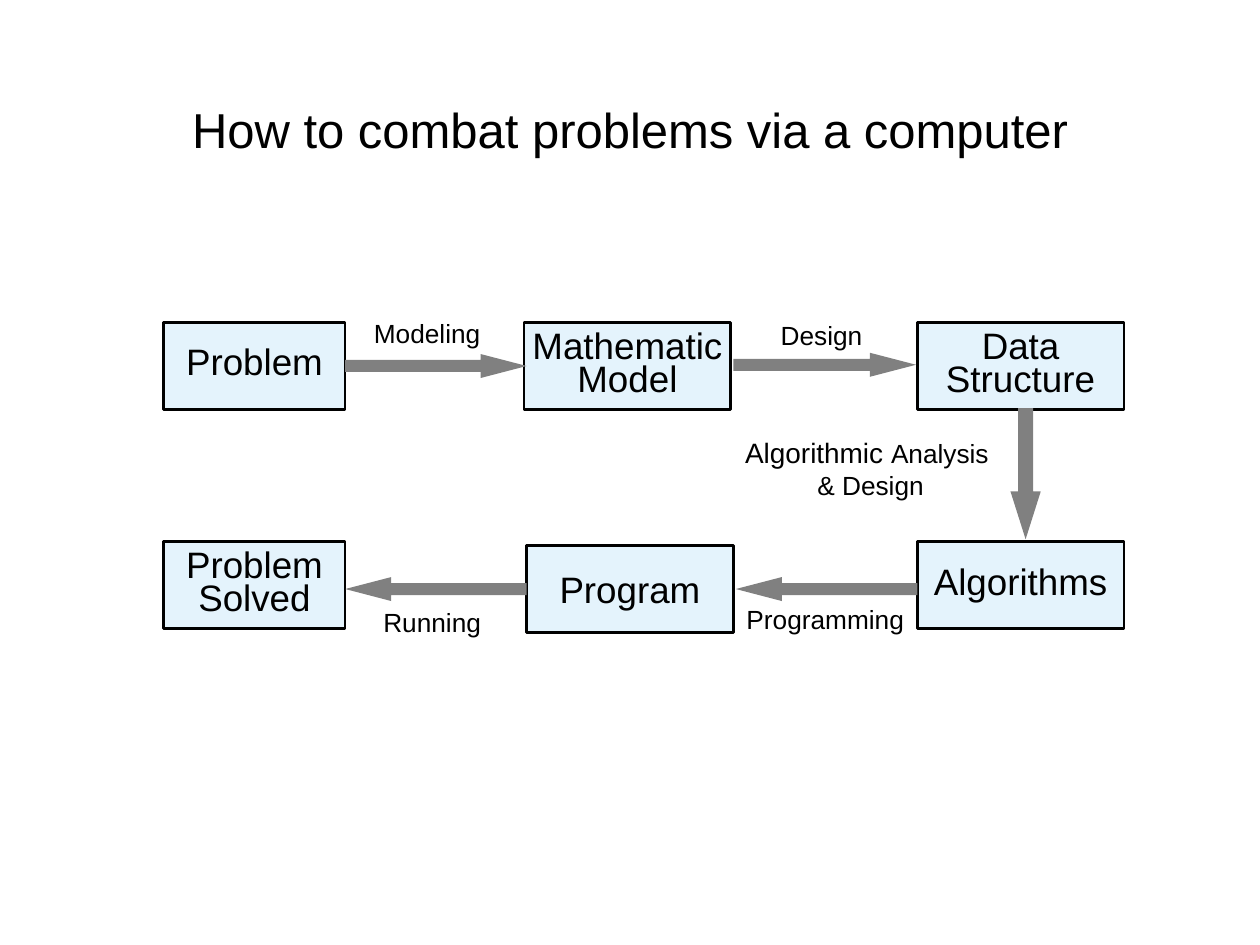
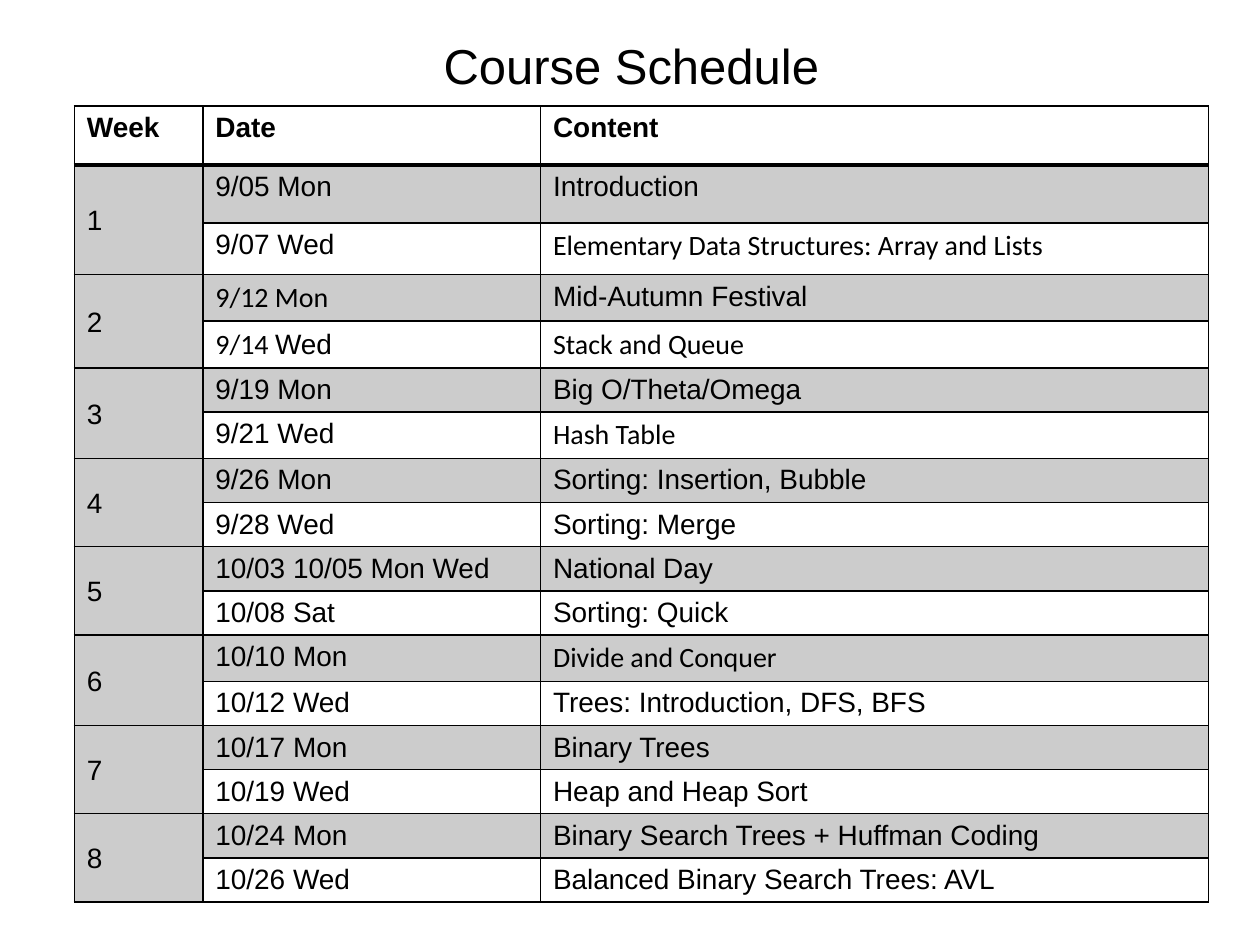
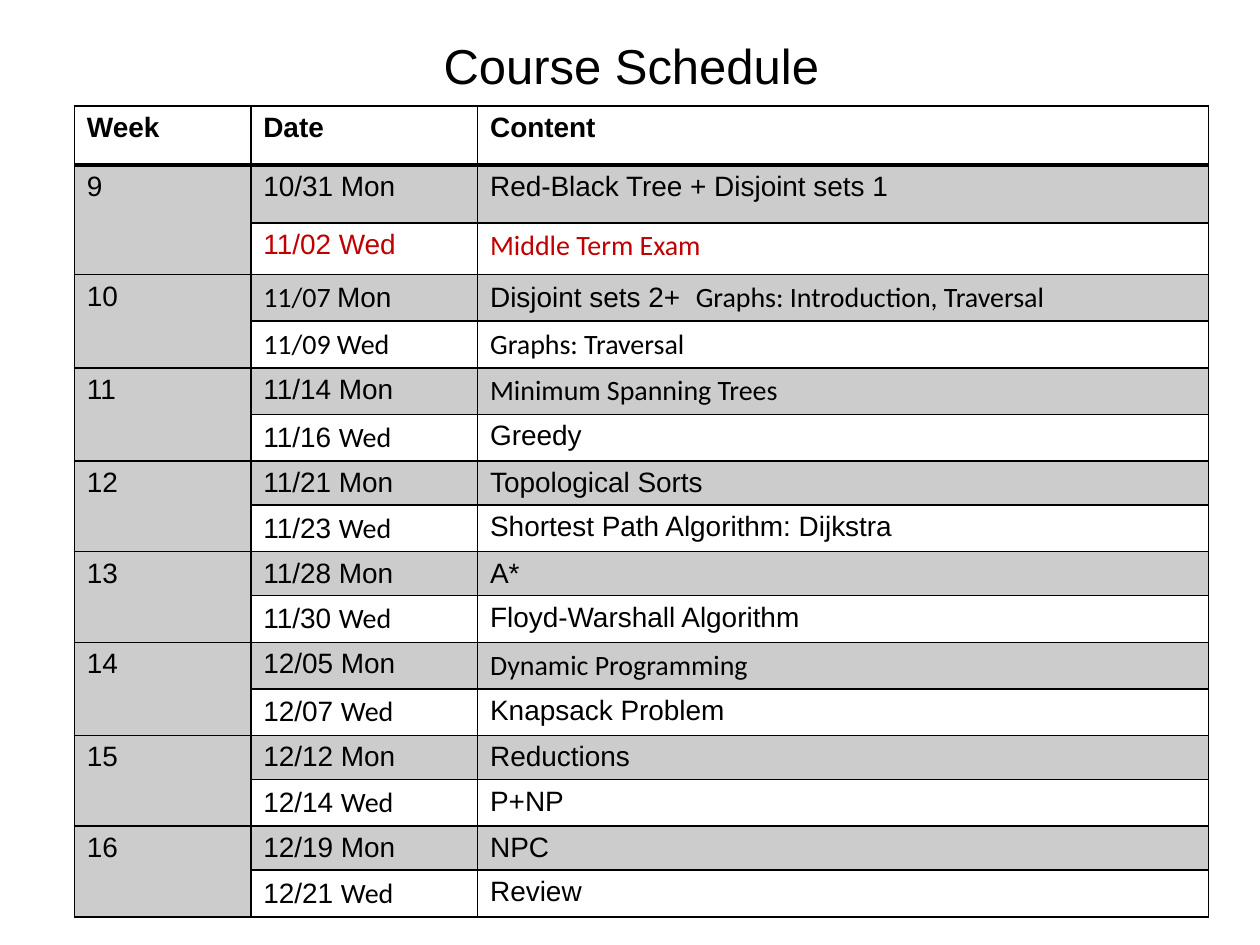
from lxml.etree import SubElement
from pptx import Presentation
from pptx.dml.color import RGBColor
from pptx.enum.shapes import MSO_SHAPE as Shape
from pptx.enum.text import MSO_ANCHOR as Anchor, PP_ALIGN as Align
from pptx.oxml import parse_xml
from pptx.oxml.ns import nsdecls, qn
from pptx.util import Inches, Pt

BLACK = RGBColor(0x00, 0x00, 0x00)
GRAY = RGBColor(0x80, 0x80, 0x80)
PALE_BLUE = RGBColor(0xE4, 0xF3, 0xFC)
RED = RGBColor(0xC0, 0x00, 0x00)
FONT = "Arial"


def calibri(text):
    return text, "Calibri"


# Flow chart: text, left, top, width, line spacing
BOX_HEIGHT = 0.69
BOXES = [
    (["Problem"], 1.3, 2.56, 1.44, 0.7),
    (["Mathematic", "Model"], 4.16, 2.56, 1.64, 0.75),
    (["Data", "Structure"], 7.28, 2.56, 1.64, 0.75),
    (["Algorithms"], 7.28, 4.3, 1.64, 0.75),
    (["Program"], 4.18, 4.33, 1.64, 1.0),
    (["Problem", "Solved"], 1.3, 4.3, 1.44, 0.75),
]
# Shape, left, top, width, height, head length relative to thickness
ARROWS = [
    (Shape.RIGHT_ARROW, 2.74, 2.81, 1.44, 0.19, 1.92),
    (Shape.RIGHT_ARROW, 5.82, 2.8, 1.45, 0.19, 1.92),
    (Shape.DOWN_ARROW, 8.02, 3.24, 0.24, 1.04, 1.58),
    (Shape.LEFT_ARROW, 5.84, 4.58, 1.44, 0.19, 1.92),
    (Shape.LEFT_ARROW, 2.74, 4.58, 1.44, 0.19, 1.92),
]
# Lines of (text, size) runs, horizontal centre, top, height
LABEL_WIDTH = 2.2
LABELS = [
    ([[("Modeling", 15)]], 3.39, 2.49, 0.31),
    ([[("Design", 15)]], 6.52, 2.5, 0.31),
    ([[("Algorithmic ", 16), ("Analysis ", 15)], [("& Design", 15)]], 6.91, 3.34, 0.75),
    ([[("Programming", 15)]], 6.55, 4.76, 0.31),
    ([[("Running", 15)]], 3.43, 4.78, 0.31),
]

# Schedules: two rows a week; a cell is one run or a list of runs
HEADER = ("Week", "Date", "Content")
EXAM = calibri("Middle Term Exam")
TALL_ROWS = [0.47, 0.46, 0.41]
ARIAL_ROW, CALIBRI_ROW = 0.35, 0.37
SCHEDULES = [
    {"first_week": 1, "widths": (1.02, 2.68, 5.3), "week_anchor": Anchor.MIDDLE,
     "rows": [
         ("9/05 Mon", "Introduction"),
         ("9/07 Wed", calibri("Elementary Data Structures: Array and Lists")),
         (calibri("9/12 Mon"), "Mid-Autumn Festival"),
         ([calibri("9/14 "), "Wed"], calibri("Stack and Queue")),
         ("9/19 Mon", "Big O/Theta/Omega"),
         ("9/21 Wed", calibri("Hash Table")),
         ("9/26 Mon", "Sorting: Insertion, Bubble"),
         ("9/28 Wed", "Sorting: Merge"),
         ("10/03 10/05 Mon Wed", "National Day"),
         ("10/08 Sat", "Sorting: Quick"),
         ("10/10 Mon", calibri("Divide and Conquer")),
         ("10/12 Wed", "Trees: Introduction, DFS, BFS"),
         ("10/17 Mon", "Binary Trees"),
         ("10/19 Wed", "Heap and Heap Sort"),
         ("10/24 Mon", "Binary Search Trees + Huffman Coding"),
         ("10/26 Wed", "Balanced Binary Search Trees: AVL"),
     ]},
    {"first_week": 9, "widths": (1.4, 1.8, 5.8), "week_anchor": Anchor.TOP,
     "rows": [
         ("10/31 Mon", "Red-Black Tree + Disjoint sets 1"),
         ("11/02 Wed", EXAM),
         ([calibri("11/07 "), "Mon"],
          ["Disjoint sets 2+  ", calibri("Graphs: Introduction, Traversal")]),
         (calibri("11/09 Wed"), calibri("Graphs: Traversal")),
         ("11/14 Mon", calibri("Minimum Spanning Trees")),
         (["11/16 ", calibri("Wed")], "Greedy"),
         ("11/21 Mon", "Topological Sorts"),
         (["11/23 ", calibri("Wed")], "Shortest Path Algorithm: Dijkstra"),
         ("11/28 Mon", "A*"),
         (["11/30 ", calibri("Wed")], "Floyd-Warshall Algorithm"),
         ("12/05 Mon", calibri("Dynamic Programming")),
         (["12/07 ", calibri("Wed")], "Knapsack Problem"),
         ("12/12 Mon", "Reductions"),
         (["12/14 ", calibri("Wed")], "P+NP"),
         ("12/19 Mon", "NPC"),
         (["12/21 ", calibri("Wed")], "Review"),
     ]},
]


def style_font(font, size, color=BLACK, name=FONT, bold=False):
    font.size, font.name, font.bold = Pt(size), name, bold
    font.color.rgb = color


def new_slide(presentation, title, left, top, height):
    slide = presentation.slides.add_slide(presentation.slide_layouts[6])
    box = slide.shapes.add_textbox(*map(Inches, (left, top, 9, height)))
    frame = box.text_frame
    frame.word_wrap = True
    frame.vertical_anchor = Anchor.MIDDLE
    paragraph = frame.paragraphs[0]
    paragraph.text = title
    paragraph.alignment = Align.CENTER
    style_font(paragraph.font, 28)
    return slide


# Flow chart parts
def add_flat_shape(slide, kind, bounds, color):
    shape = slide.shapes.add_shape(kind, *map(Inches, bounds))
    shape.shadow.inherit = False
    shape.fill.solid()
    shape.fill.fore_color.rgb = color
    return shape


def add_box(slide, lines, left, top, width, spacing):
    box = add_flat_shape(slide, Shape.RECTANGLE, (left, top, width, BOX_HEIGHT), PALE_BLUE)
    box.line.color.rgb = BLACK
    box.line.width = Pt(1.5)
    frame = box.text_frame
    frame.word_wrap = False
    frame.vertical_anchor = Anchor.MIDDLE
    frame.text = "\n".join(lines)
    for paragraph in frame.paragraphs:
        paragraph.alignment = Align.CENTER
        paragraph.line_spacing = spacing
        style_font(paragraph.font, 21)


def add_arrow(slide, kind, left, top, width, height, head):
    arrow = add_flat_shape(slide, kind, (left, top, width, height), GRAY)
    arrow.line.fill.background()
    arrow.adjustments[1] = head


def add_label(slide, lines, center, top, height):
    bounds = (center - LABEL_WIDTH / 2, top, LABEL_WIDTH, height)
    frame = slide.shapes.add_textbox(*map(Inches, bounds)).text_frame
    frame.word_wrap = True
    frame.vertical_anchor = Anchor.MIDDLE
    for index, runs in enumerate(lines):
        paragraph = frame.add_paragraph() if index else frame.paragraphs[0]
        paragraph.alignment = Align.CENTER
        for text, size in runs:
            run = paragraph.add_run()
            run.text = text
            style_font(run.font, size)


# Schedule parts
def cell_runs(content):
    parts = content if isinstance(content, list) else [content]
    return [(part, FONT) if isinstance(part, str) else part for part in parts]


def row_height(row):
    all_arial = all(name == FONT for content in row for _, name in cell_runs(content))
    return ARIAL_ROW if all_arial else CALIBRI_ROW


def write_cell(cell, content, color=BLACK, bold=False):
    paragraph = cell.text_frame.paragraphs[0]
    for text, name in cell_runs(content):
        run = paragraph.add_run()
        run.text = text
        style_font(run.font, 16, color, name, bold)


def paint_cell(cell, shaded, top, bottom):
    cell.margin_bottom = Inches(0.03)
    cell.text_frame.paragraphs[0].font.size = Pt(16)
    properties = cell._tc.get_or_add_tcPr()
    if shaded:
        cell.fill.solid()
        cell.fill.fore_color.rgb = BLACK
        color = properties.find(".//" + qn("a:srgbClr"))
        SubElement(color, qn("a:alpha")).set("val", "20000")
    else:
        cell.fill.background()
    borders = [("L", 1), ("R", 1), ("T", top), ("B", bottom)]
    for index, (side, width) in enumerate(borders):
        properties.insert(index, parse_xml(
            f'<a:ln{side} {nsdecls("a")} w="{Pt(width)}"><a:solidFill>'
            f'<a:srgbClr val="{BLACK}"/></a:solidFill></a:ln{side}>'))


def add_schedule(slide, first_week, widths, week_anchor, rows):
    heights = TALL_ROWS + [row_height(row) for row in rows[2:]]
    frame = slide.shapes.add_table(
        len(heights), len(HEADER), *map(Inches, (0.59, 0.84, sum(widths), sum(heights))))
    table = frame.table
    table.first_row = table.horz_banding = False
    for column, width in zip(table.columns, widths):
        column.width = Inches(width)
    for row, height in zip(table.rows, heights):
        row.height = Inches(height)

    for column, text in enumerate(HEADER):
        write_cell(table.cell(0, column), text, bold=True)
    for row, (date, content) in enumerate(rows, start=1):
        color = RED if content is EXAM else BLACK
        write_cell(table.cell(row, 1), date, color)
        write_cell(table.cell(row, 2), content, color)
    for week, row in enumerate(range(1, len(rows), 2), start=first_week):
        cell = table.cell(row, 0)
        cell.merge(table.cell(row + 1, 0))
        cell.vertical_anchor = week_anchor
        write_cell(cell, str(week))

    # Week cells and the first row of each week are shaded
    for row in range(len(heights)):
        for column in range(len(HEADER)):
            shaded = row > 0 and (column == 0 or row % 2 == 1)
            paint_cell(table.cell(row, column), shaded,
                       top=2.5 if row == 1 else 1, bottom=2.5 if row == 0 else 1)


def main():
    presentation = Presentation()
    presentation.slide_width, presentation.slide_height = Inches(10), Inches(7.5)

    slide = new_slide(presentation, "How to combat problems via a computer", 0.5, 0.4, 1.25)
    for box in BOXES:
        add_box(slide, *box)
    for arrow in ARROWS:
        add_arrow(slide, *arrow)
    for label in LABELS:
        add_label(slide, *label)

    for schedule in SCHEDULES:
        slide = new_slide(presentation, "Course Schedule", 0.51, 0, 1.03)
        add_schedule(slide, **schedule)

    presentation.save("out.pptx")


if __name__ == "__main__":
    main()
